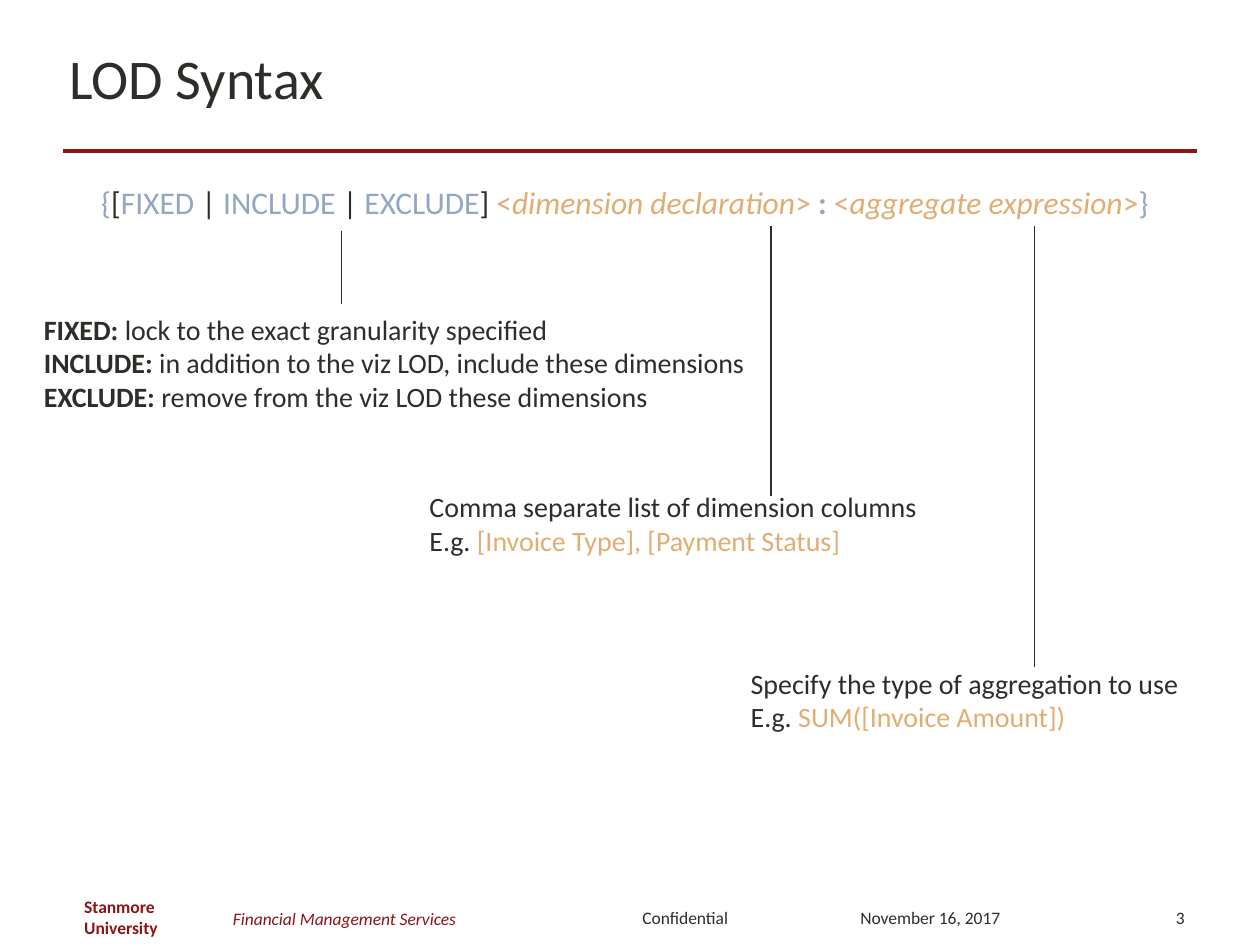
from lxml import etree
from pptx import Presentation
from pptx.dml.color import RGBColor
from pptx.enum.shapes import MSO_CONNECTOR
from pptx.enum.text import MSO_ANCHOR, PP_ALIGN
from pptx.oxml.ns import qn
from pptx.util import Inches, Pt

STRAIGHT = MSO_CONNECTOR.STRAIGHT
TOP, MIDDLE = MSO_ANCHOR.TOP, MSO_ANCHOR.MIDDLE
LEFT, CENTER, RIGHT = PP_ALIGN.LEFT, PP_ALIGN.CENTER, PP_ALIGN.RIGHT

DARK = RGBColor(0x2E, 0x2D, 0x29)
RED = RGBColor(0x8C, 0x15, 0x15)
BLUE = RGBColor(0x91, 0xA7, 0xC4)
ORANGE = RGBColor(0xE2, 0xAD, 0x73)

PLAIN = {}
BOLD = {"bold": True}
ITALIC = {"italic": True}


def add_text(box, size, lines, anchor=TOP, align=LEFT, wrap=True):
    """Add a text box; each line is a list of (text, colour, format) runs."""
    frame = slide.shapes.add_textbox(*map(Inches, box)).text_frame
    frame.word_wrap = wrap
    frame.vertical_anchor = anchor
    for i, runs in enumerate(lines):
        para = frame.paragraphs[0] if i == 0 else frame.add_paragraph()
        para.alignment = align
        for text, color, style in runs:
            run = para.add_run()
            run.text = text
            run.font.color.rgb = color
            for key, value in {"name": "Calibri", "size": Pt(size), **style}.items():
                setattr(run.font, key, value)


def add_line(x1, y1, x2, y2, color, width):
    line = slide.shapes.add_connector(STRAIGHT, *map(Inches, (x1, y1, x2, y2)))
    line.line.color.rgb = color
    line.line.width = Pt(width)
    etree.SubElement(line._element.spPr, qn("a:effectLst"))


deck = Presentation()
deck.slide_width, deck.slide_height = Inches(10), Inches(7.5)
slide = deck.slides.add_slide(deck.slide_layouts[6])

# Title and rule
add_text((0.45, 0.18, 9, 0.87), 32, [[("LOD Syntax", DARK, PLAIN)]], MIDDLE)
add_line(0.5, 1.2, 9.5, 1.2, RED, 2.25)

# Syntax
syntax = [
    ("{", BLUE, PLAIN),
    ("[", DARK, PLAIN),
    ("FIXED ", BLUE, PLAIN),
    ("| ", DARK, PLAIN),
    ("INCLUDE", BLUE, PLAIN),
    (" | ", DARK, PLAIN),
    ("EXCLUDE", BLUE, PLAIN),
    ("] ", DARK, PLAIN),
    ("<", ORANGE, PLAIN),
    ("dimension declaration", ORANGE, ITALIC),
    ("> ", ORANGE, PLAIN),
    (": ", BLUE, BOLD),
    ("<", ORANGE, PLAIN),
    ("aggregate expression", ORANGE, ITALIC),
    (">", ORANGE, PLAIN),
    ("}", BLUE, PLAIN),
]
add_text((0.46, 1.4, 9, 0.52), 18, [syntax], align=CENTER)

# Explanations
scopes = [
    ("FIXED: ", "lock to the exact granularity specified"),
    ("INCLUDE: ", "in addition to the viz LOD, include these dimensions"),
    ("EXCLUDE: ", "remove from the viz LOD these dimensions"),
]
terms = [[(word, DARK, BOLD), (text, DARK, PLAIN)] for word, text in scopes]
add_text((0.25, 2.43, 5.82, 0.91), 16, terms, wrap=False)

notes = [
    ((3.31, 3.84, 4.11, 0.64), "Comma separate list of dimension columns",
     "[Invoice Type], [Payment Status]"),
    ((5.86, 5.24, 3.64, 0.64), "Specify the type of aggregation to use",
     "SUM([Invoice Amount])"),
]
for box, text, sample in notes:
    lines = [[(text, DARK, PLAIN)],
             [("E.g. ", DARK, PLAIN), (sample, ORANGE, PLAIN)]]
    add_text(box, 16, lines, wrap=False)

for x, top, end in [(2.71, 1.83, 2.41), (6.12, 1.79, 3.94), (8.21, 1.79, 5.29)]:
    add_line(x, top, x, end, DARK, 0.75)

# Footer
footer = [
    ((0.57, 7.14, 1.33, 0.27), "Stanmore University", RED, BOLD, LEFT, False),
    ((1.75, 7.09, 3.17, 0.4), "Financial Management Services", RED, ITALIC, LEFT, True),
    ((5, 7.08, 1.02, 0.4), "Confidential", DARK, PLAIN, LEFT, True),
    ((6.73, 7.08, 1.38, 0.4), "November 16, 2017", DARK, PLAIN, LEFT, True),
    ((8.83, 7.08, 0.67, 0.4), "3", DARK, PLAIN, RIGHT, True),
]
for box, text, color, style, align, wrap in footer:
    add_text(box, 10, [[(text, color, style)]], MIDDLE, align, wrap)

deck.save("out.pptx")
